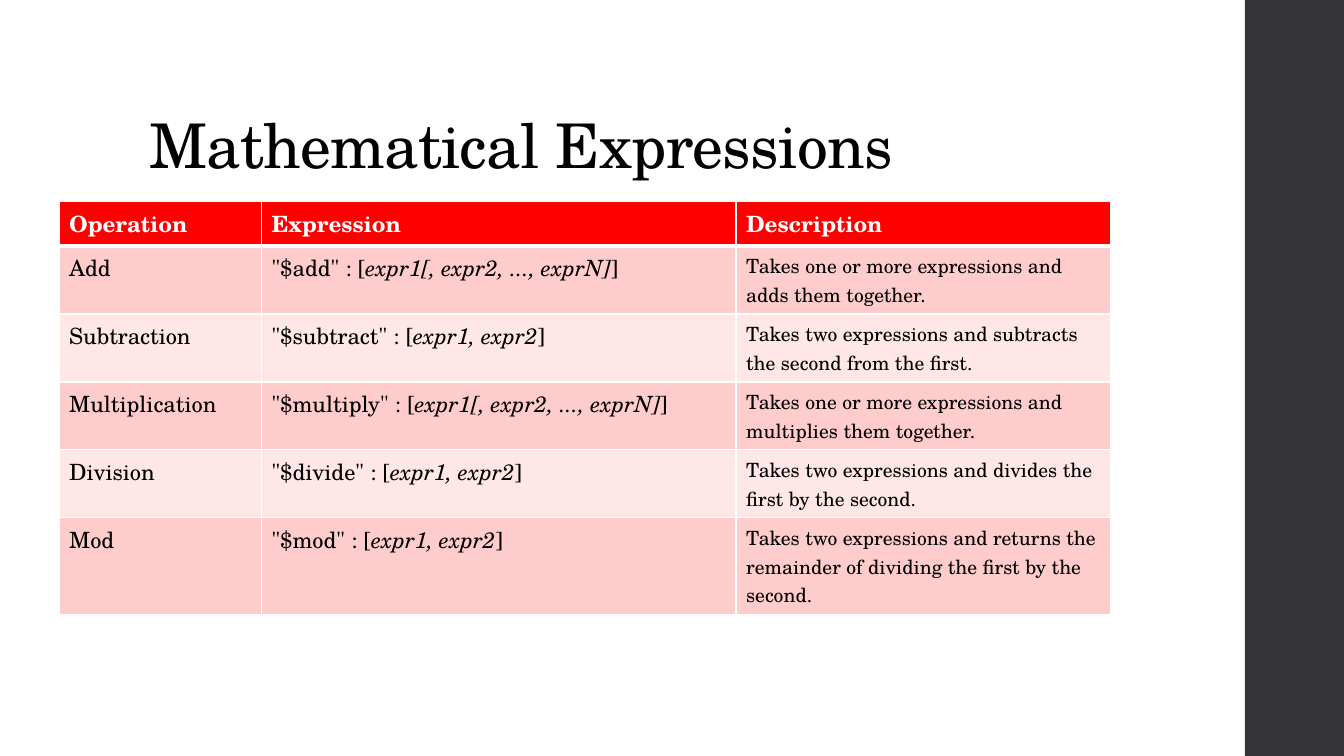
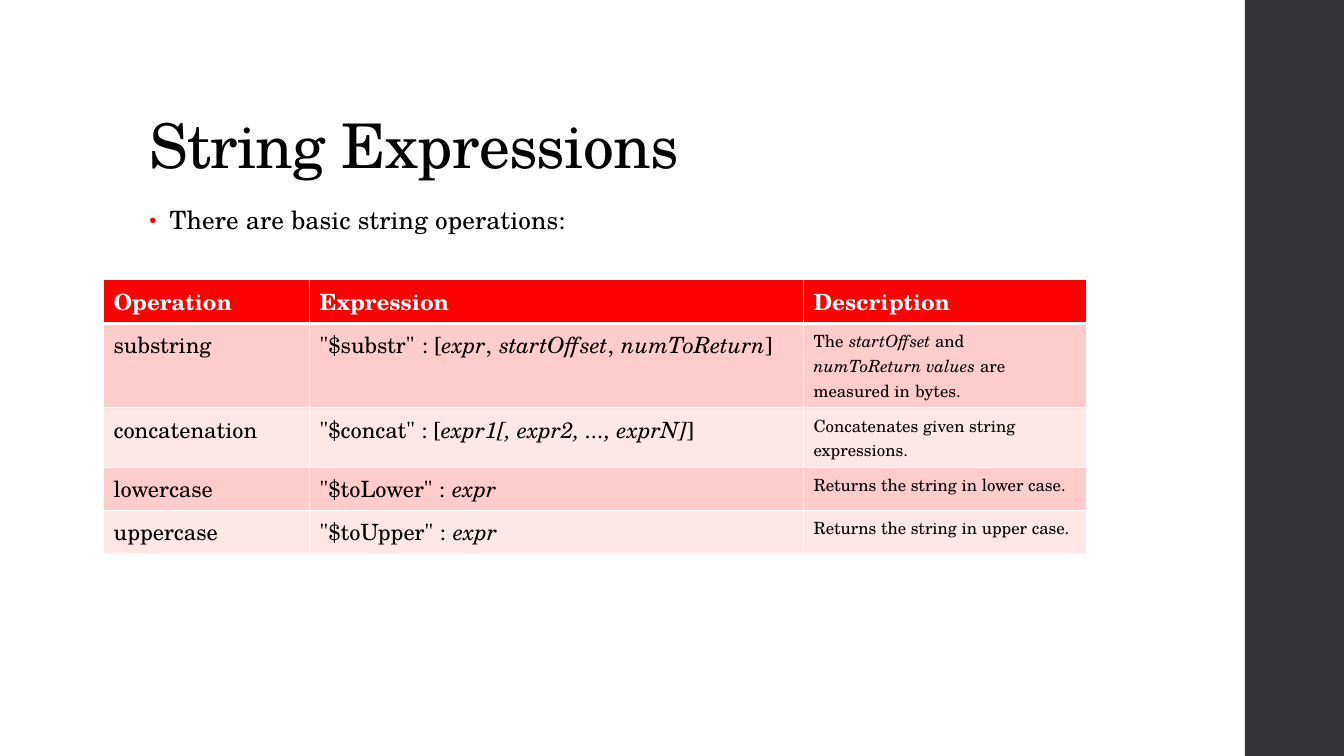
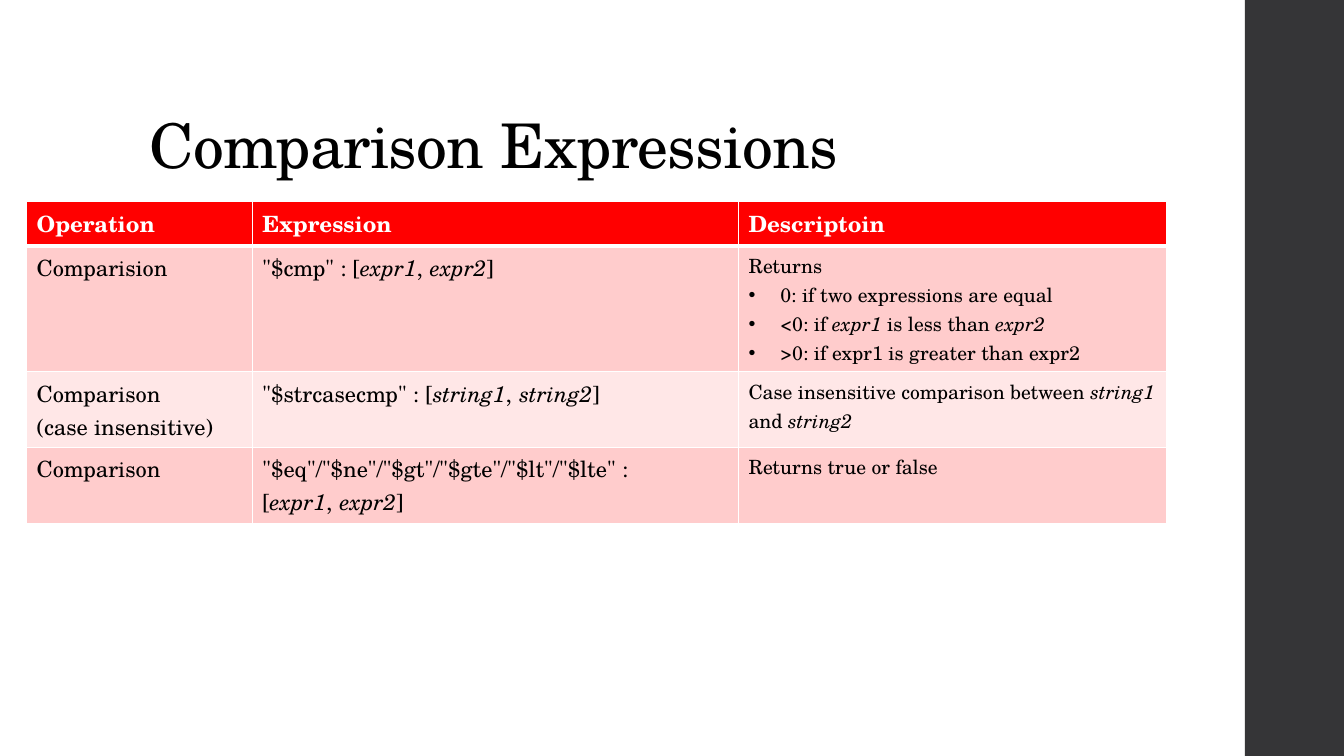
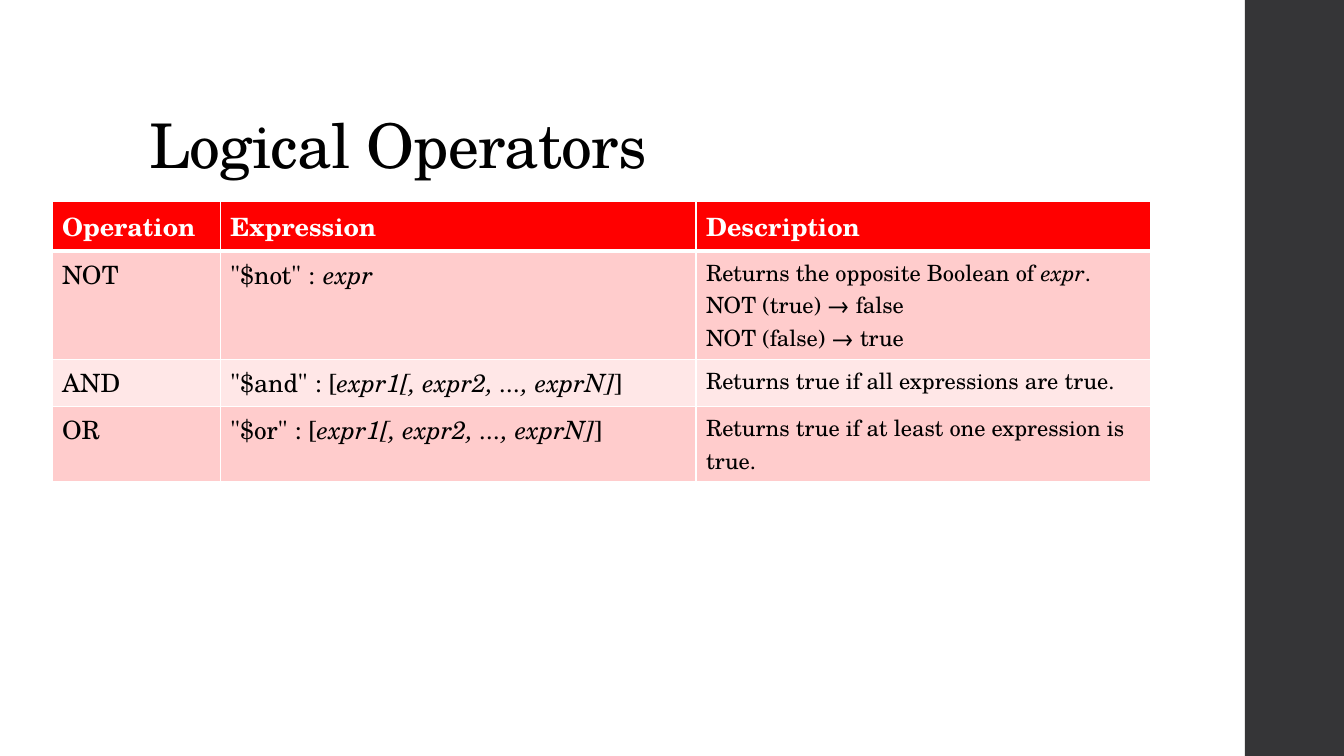
import lxml.etree
import pptx
import pptx.dml.color
import pptx.enum.shapes
import pptx.enum.text
import pptx.oxml
import pptx.oxml.ns
import pptx.util

Cm = pptx.util.Cm
Pt = pptx.util.Pt
qn = pptx.oxml.ns.qn

# Layouts of the default template
TITLE_AND_CONTENT, TITLE_ONLY = 1, 5
NO_BREAK_SPACE = chr(160)


def color(hex_value):
    return pptx.dml.color.RGBColor.from_string(hex_value)


def write_text(paragraph, text, size, font, fill="000000", bold=False, spacing=None):
    """Write text; parts between asterisks are italic, a tilde is a no-break space."""
    for index, part in enumerate(text.replace("~", NO_BREAK_SPACE).split("*")):
        if not part:
            continue
        run = paragraph.add_run()
        run.text = part
        run.font.name = font
        run.font.size = Pt(size)
        run.font.bold = bold
        run.font.italic = index % 2 == 1
        run.font.color.rgb = color(fill)
        if spacing is not None:
            run._r.get_or_add_rPr().set("spc", str(round(spacing * 100)))


def add_bullet(paragraph, indent, fill=None, percent=None):
    properties = paragraph._p.get_or_add_pPr()
    properties.set("marL", str(Cm(indent)))
    properties.set("indent", str(-Cm(indent)))
    if fill:
        bullet_color = lxml.etree.SubElement(properties, qn("a:buClr"))
        lxml.etree.SubElement(bullet_color, qn("a:srgbClr"), val=fill)
    if percent:
        lxml.etree.SubElement(properties, qn("a:buSzPct"), val=str(percent * 1000))
    lxml.etree.SubElement(properties, qn("a:buFont"), typeface="Arial")
    lxml.etree.SubElement(properties, qn("a:buChar"), char="•")


def set_border(cell, side, width, fill):
    properties = cell._tc.get_or_add_tcPr()
    line = lxml.etree.SubElement(properties, qn("a:ln" + side), w=str(Pt(width)))
    solid = lxml.etree.SubElement(line, qn("a:solidFill"))
    lxml.etree.SubElement(solid, qn("a:srgbClr"), val=fill)


class Deck:
    """Holds the shared style and the current slide."""

    FONT = "TeX Gyre Schola"
    WHITE = "FFFFFF"
    ACCENT = "FF0000"
    SIDE_BAR = "353537"
    BANDS = ("FFCCCC", "FFE7E7")
    WIDTH, HEIGHT = 33.87, 19.05
    BAR_LEFT = 31.37
    TEXT_LEFT = 3.51
    CONTENT_TOP = 5.08
    ROW_HEIGHT = 1.03

    def __init__(self):
        self.presentation = pptx.Presentation()
        self.presentation.slide_width = Cm(self.WIDTH)
        self.presentation.slide_height = Cm(self.HEIGHT)
        self.slide = None

    def add_slide(self, title, layout=TITLE_ONLY):
        self.slide = self.presentation.slides.add_slide(
            self.presentation.slide_layouts[layout])
        self.slide.background.fill.solid()
        self.slide.background.fill.fore_color.rgb = color(self.WHITE)
        self.add_side_bar()
        self.add_title(title)

    def add_side_bar(self):
        bar = self.slide.shapes.add_shape(
            pptx.enum.shapes.MSO_SHAPE.RECTANGLE, Cm(self.BAR_LEFT), 0,
            Cm(self.WIDTH - self.BAR_LEFT), Cm(self.HEIGHT))
        bar.shadow.inherit = False
        bar.fill.solid()
        bar.fill.fore_color.rgb = color(self.SIDE_BAR)
        bar.line.fill.background()

    def place(self, shape, top, width, height, anchor):
        """Move a placeholder and return its first paragraph."""
        shape.left, shape.top = Cm(self.TEXT_LEFT), Cm(top)
        shape.width, shape.height = Cm(width), Cm(height)
        frame = shape.text_frame
        frame.word_wrap = True
        frame.auto_size = pptx.enum.text.MSO_AUTO_SIZE.NONE
        frame.vertical_anchor = anchor
        paragraph = frame.paragraphs[0]
        paragraph.alignment = pptx.enum.text.PP_ALIGN.LEFT
        return paragraph

    def add_title(self, text):
        paragraph = self.place(self.slide.shapes.title, 1.02, 26.92, 3.68,
                               pptx.enum.text.MSO_ANCHOR.BOTTOM)
        paragraph.line_spacing = 0.9
        write_text(paragraph, text, 44, self.FONT, spacing=-0.5)

    def add_body(self, text):
        paragraph = self.place(self.slide.placeholders[1], self.CONTENT_TOP, 23.88, 12.09,
                               pptx.enum.text.MSO_ANCHOR.TOP)
        paragraph.line_spacing = 0.95
        paragraph.space_before = Pt(14)
        paragraph.space_after = Pt(2)
        add_bullet(paragraph, 0.51, fill=self.ACCENT, percent=80)
        write_text(paragraph, text, 18, self.FONT, spacing=0.1)

    def add_table(self, left, columns, rows, height, top=CONTENT_TOP, size=16, note_size=14):
        """Add a table whose first row is the header and last column holds notes."""
        frame = self.slide.shapes.add_table(
            len(rows), len(columns), Cm(left), Cm(top), Cm(sum(columns)), Cm(height))
        table = frame.table
        table.horz_banding = False
        for column, width in zip(table.columns, columns):
            column.width = Cm(width)
        for row_index, texts in enumerate(rows):
            table.rows[row_index].height = Cm(self.ROW_HEIGHT)
            for column_index, text in enumerate(texts):
                is_note = row_index > 0 and column_index == len(columns) - 1
                self.fill_cell(table.cell(row_index, column_index), text, row_index,
                               note_size if is_note else size)
        frame.height = Cm(height)

    def fill_cell(self, cell, text, row_index, size):
        header = row_index == 0
        widths = {"L": 1, "R": 1, "T": 3 if row_index == 1 else 1, "B": 3 if header else 1}
        for side, width in widths.items():
            set_border(cell, side, width, self.WHITE)
        cell.fill.solid()
        cell.fill.fore_color.rgb = color(
            self.ACCENT if header else self.BANDS[(row_index - 1) % 2])
        for index, line in enumerate(text.split("\n")):
            frame = cell.text_frame
            paragraph = frame.add_paragraph() if index else frame.paragraphs[0]
            if line.startswith("• "):
                add_bullet(paragraph, 0.8)
                line = line[2:]
            write_text(paragraph, line, size, self.FONT, bold=header,
                       fill=self.WHITE if header else "000000")


def main():
    deck = Deck()
    header = ("Operation", "Expression", "Description")

    # Mathematical expressions
    deck.add_slide("Mathematical Expressions")
    deck.add_table(1.49, (5.1, 11.96, 9.45), [
        header,
        ("Add", '"$add" : [*expr1[, expr2, ..., exprN]*]',
         "Takes one or more expressions and adds them together."),
        ("Subtraction", '"$subtract" : [*expr1, expr2*]',
         "Takes two expressions and subtracts the second from the first."),
        ("Multiplication", '"$multiply" : [*expr1[, expr2, ..., exprN]*]',
         "Takes one or more expressions and multiplies them together."),
        ("Division", '"$divide" : [*expr1, expr2*]',
         "Takes two expressions and divides the first by the second."),
        ("Mod", '"$mod" : [*expr1, expr2*]',
         "Takes two expressions and returns the remainder of dividing the first by the second."),
    ], height=8.81)

    # String expressions
    deck.add_slide("String Expressions", TITLE_AND_CONTENT)
    deck.add_body("There are basic string operations:")
    deck.add_table(2.61, (5.19, 12.45, 7.14), [
        header,
        ("substring", '"$substr"~: [*expr*,~*startOffset*,~*numToReturn*]',
         "The~*startOffset* and *numToReturn values *are measured in~bytes."),
        ("concatenation", '"$concat" : [*expr1[, expr2, ..., exprN]*]',
         "Concatenates given string expressions."),
        ("lowercase", '"$toLower" :~*expr*', "Returns the string in lower case."),
        ("uppercase", '"$toUpper" :~*expr*', "Returns the string in upper case."),
    ], height=6.15, top=7.03, note_size=12)

    # Comparison expressions
    deck.add_slide("Comparison Expressions")
    deck.add_table(0.67, (5.69, 12.25, 10.79), [
        ("Operation", "Expression", "Descriptoin"),
        ("Comparision", '"$cmp" : [*expr1*,~*expr2*]',
         "Returns\n• 0: if two expressions are equal\n"
         "• <0: if *expr1* is less than *expr2*\n• >0: if expr1 is greater than expr2"),
        ("Comparison\n(case insensitive)", '"$strcasecmp" : [*string1*,~*string2*]',
         "Case insensitive comparison between *string1* and *string2*"),
        ("Comparison", '"$eq"/"$ne"/"$gt"/"$gte"/"$lt"/"$lte" : [*expr1*,~*expr2*]',
         "Returns true or false"),
    ], height=6.88)

    # Logical operators
    deck.add_slide("Logical Operators")
    deck.add_table(1.31, (4.24, 11.99, 11.46), [
        header,
        ("NOT", '"$not" :~*expr*',
         "Returns the opposite Boolean of *expr*.\nNOT (true) → false\nNOT (false) → true"),
        ("AND", '"$and" : [*expr1[, expr2, ..., exprN]*]',
         "Returns true if all expressions are true."),
        ("OR", '"$or" : [*expr1[, expr2, ..., exprN]*]',
         "Returns true if at least one expression is true."),
    ], height=5.94, size=18, note_size=16)

    deck.presentation.save("out.pptx")


if __name__ == "__main__":
    main()
